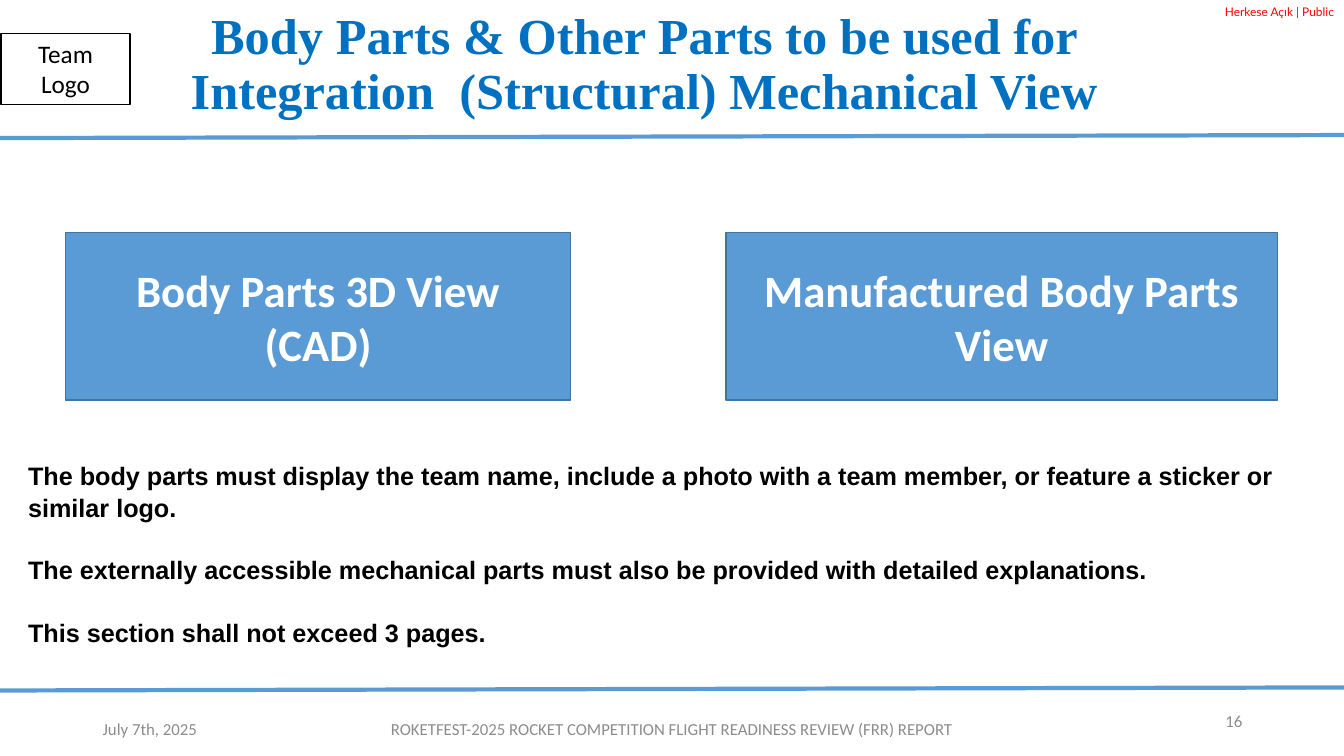
from lxml import etree
from pptx import Presentation
from pptx.dml.color import RGBColor
from pptx.enum.shapes import MSO_CONNECTOR, MSO_SHAPE
from pptx.enum.text import MSO_ANCHOR, MSO_AUTO_SIZE, PP_ALIGN
from pptx.oxml.ns import qn
from pptx.util import Inches, Pt

HUES = {
    "title": "0070C0", "blue": "5B9BD5", "edge": "43739E", "red": "FF0000",
    "gray": "8C8C8C", "black": "000000", "white": "FFFFFF",
}
LEFT, MID, RIGHT = PP_ALIGN.LEFT, PP_ALIGN.CENTER, PP_ALIGN.RIGHT


def hue(name):
    return RGBColor.from_string(HUES[name])


def write(shape, text, size=12, font="Calibri", color="black", bold=False,
          align=LEFT, anchor=MSO_ANCHOR.TOP, lines=None, gap=0):
    """Fill a shape with one paragraph per line of text."""
    frame = shape.text_frame
    frame.word_wrap = True
    frame.auto_size = MSO_AUTO_SIZE.NONE
    frame.vertical_anchor = anchor
    frame.text = text
    for i, para in enumerate(frame.paragraphs):
        para.alignment = align
        para.line_spacing = lines
        para.space_before = Pt(gap if i else 0)
        for run in para.runs:
            run.font.name = font
            run.font.size = Pt(size)
            run.font.bold = bold
            run.font.color.rgb = hue(color)


deck = Presentation()
deck.slide_width, deck.slide_height = Inches(13.33), Inches(7.5)
slide = deck.slides.add_slide(deck.slide_layouts[5])
shapes = slide.shapes

# Title
title = shapes.title
title.left, title.top = Inches(1.39), Inches(0.15)
title.width, title.height = Inches(10), Inches(1.09)
write(title, "Body Parts & Other Parts to be used for Integration  (Structural) Mechanical View",
      size=36, font="Times New Roman", color="title", bold=True, align=MID,
      anchor=MSO_ANCHOR.BOTTOM, lines=0.9)

# Rules under the title and above the footer
for top in (1.34, 6.82):
    rule = shapes.add_connector(MSO_CONNECTOR.STRAIGHT, Inches(0), Inches(top + 0.03),
                                Inches(13.33), Inches(top))
    rule.line.color.rgb = hue("blue")
    rule.line.width = Pt(3)
    etree.SubElement(rule._element.spPr, qn("a:effectLst"))

# Logo frame and the two view panels
panel = dict(size=32, color="white", bold=True, anchor=MSO_ANCHOR.MIDDLE)
for left, top, wide, high, fill, edge, thick, text, style in (
    (0.01, 0.33, 1.28, 0.71, None, "black", 0.75, "Team Logo", dict(size=18)),
    (0.65, 2.31, 5.01, 1.66, "blue", "edge", 1, "Body Parts 3D View\n(CAD)", panel),
    (7.2, 2.31, 5.47, 1.66, "blue", "edge", 1, "Manufactured Body Parts View", panel),
):
    box = shapes.add_shape(MSO_SHAPE.RECTANGLE, Inches(left), Inches(top),
                           Inches(wide), Inches(high))
    box.shadow.inherit = False
    if fill:
        box.fill.solid()
        box.fill.fore_color.rgb = hue(fill)
    else:
        box.fill.background()
    box.line.color.rgb = hue(edge)
    box.line.width = Pt(thick)
    write(box, text, align=MID, **style)

# Notes on the section, class label and footer
rules = "\n".join((
    "The body parts must display the team name, include a photo with a team member, "
    "or feature a sticker or similar logo.",
    "The externally accessible mechanical parts must also be provided with detailed explanations.",
    "This section shall not exceed 3 pages.",
))
foot = dict(color="gray", anchor=MSO_ANCHOR.MIDDLE)
for left, top, wide, high, text, style in (
    (0, 0, 13.33, 0.24, "Herkese Açık |\u00a0Public".replace("\u00a0", " "),
     dict(size=8.5, font="Lato", color="red", align=RIGHT)),
    (0.18, 4.5, 12.72, 1.92, rules,
     dict(size=18, font="Arial", bold=True, lines=1.05, gap=22)),
    (0.92, 7.03, 3, 0.4, "July 7th, 2025", foot),
    (2.77, 7.03, 7.79, 0.4,
     "ROKETFEST-2025 ROCKET COMPETITION FLIGHT READINESS REVIEW (FRR) REPORT",
     dict(foot, align=MID)),
    (9.42, 6.95, 3, 0.4, "16", dict(foot, align=RIGHT)),
):
    note = shapes.add_textbox(Inches(left), Inches(top), Inches(wide), Inches(high))
    write(note, text, **style)

deck.save("out.pptx")
